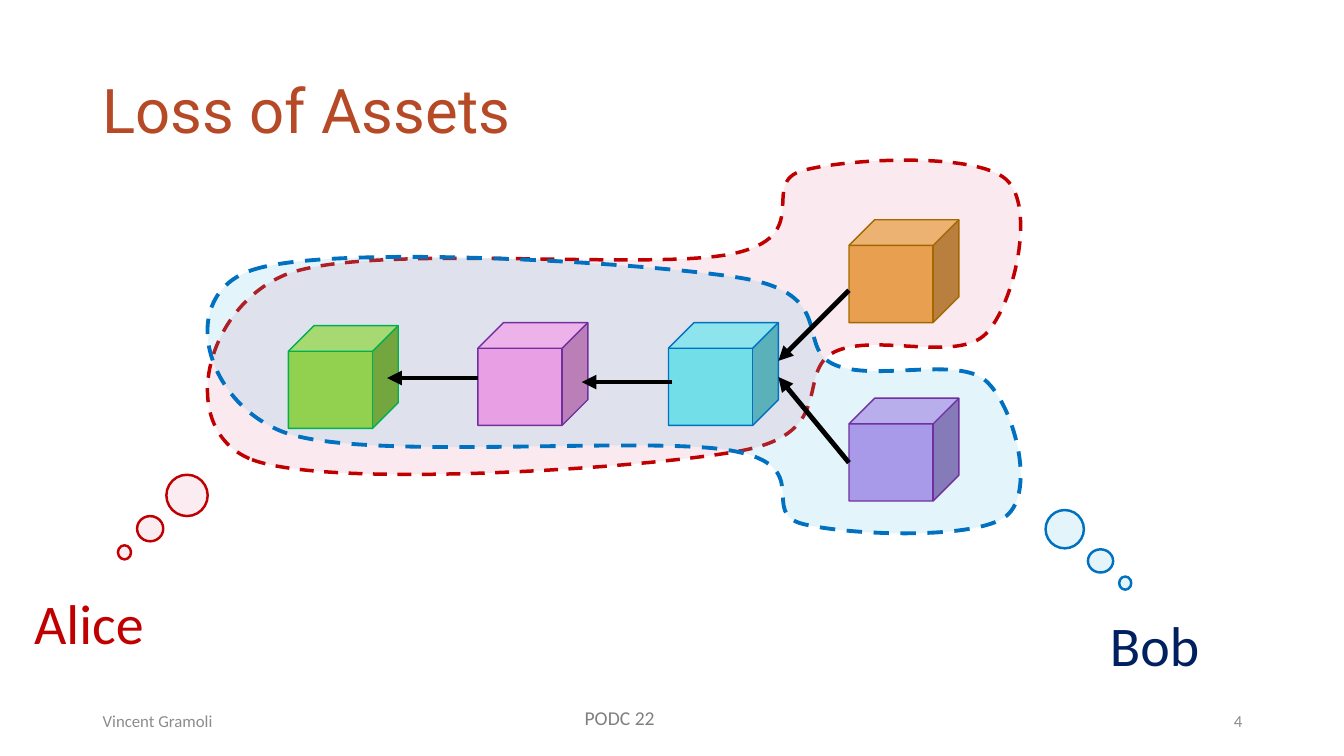
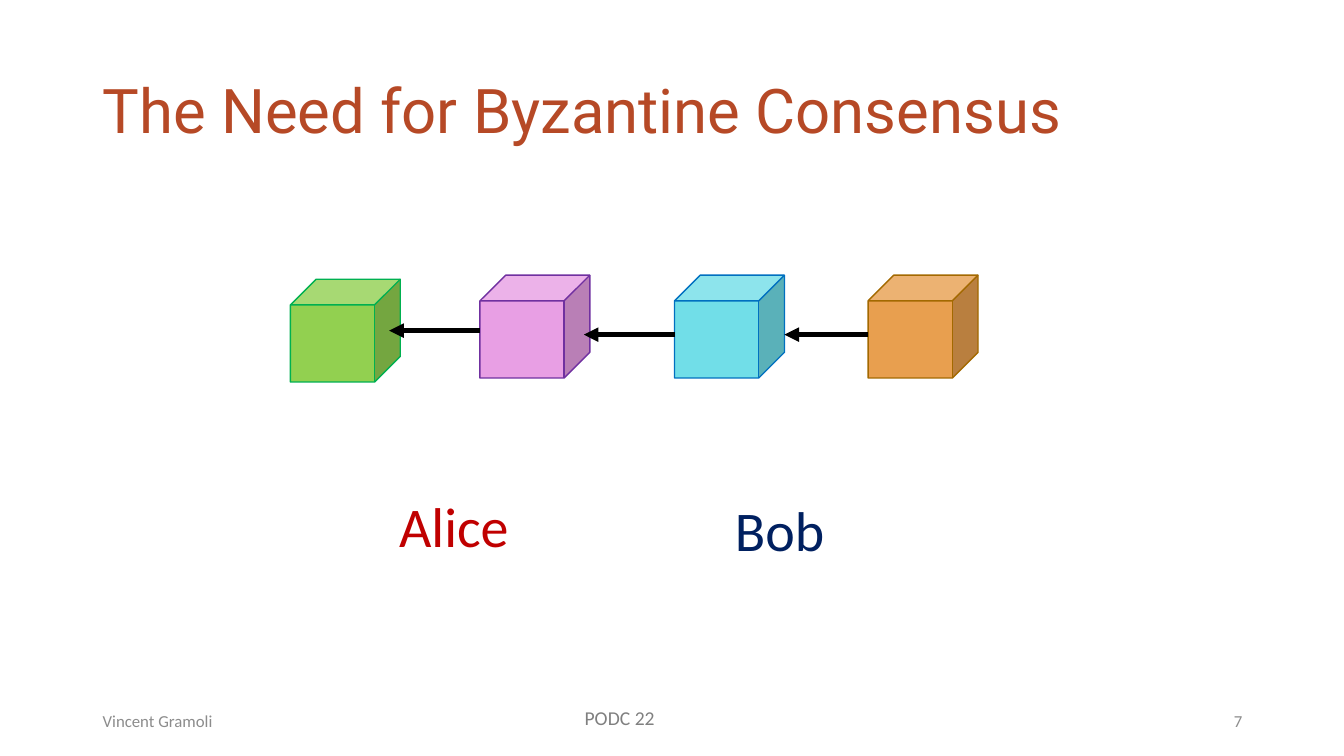
from lxml import etree
from pptx import Presentation
from pptx.dml.color import RGBColor
from pptx.enum.dml import MSO_LINE
from pptx.enum.shapes import MSO_CONNECTOR, MSO_SHAPE
from pptx.enum.text import MSO_ANCHOR, MSO_AUTO_SIZE, PP_ALIGN
from pptx.oxml.ns import qn
from pptx.util import Inches, Pt

CUBE, OVAL = MSO_SHAPE.CUBE, MSO_SHAPE.OVAL
STRAIGHT, DASH = MSO_CONNECTOR.STRAIGHT, MSO_LINE.DASH
LEFT, RIGHT = PP_ALIGN.LEFT, PP_ALIGN.RIGHT
TOP, MIDDLE = MSO_ANCHOR.TOP, MSO_ANCHOR.MIDDLE
FIT = MSO_AUTO_SIZE.SHAPE_TO_FIT_TEXT

RUST = RGBColor(0xB6, 0x49, 0x26)
GRAY = RGBColor(0x8C, 0x8C, 0x8C)
MID_GRAY = RGBColor(0x80, 0x80, 0x80)
BLACK = RGBColor(0, 0, 0)
RED = RGBColor(0xC0, 0, 0)
ROSE = RGBColor(0xE4, 0x72, 0x93)
BLUE = RGBColor(0, 0x70, 0xC0)
SKY = RGBColor(0x5E, 0xC3, 0xE3)
NAVY = RGBColor(0, 0x20, 0x60)
PURPLE = RGBColor(0x70, 0x30, 0xA0)

# Block name: fill, outline
BLOCKS = {
    "green": (RGBColor(0x92, 0xD0, 0x50), RGBColor(0, 0xB0, 0x50)),
    "pink": (RGBColor(0xE8, 0x9F, 0xE4), PURPLE),
    "cyan": (RGBColor(0x71, 0xDE, 0xE8), BLUE),
    "orange": (RGBColor(0xE8, 0x9F, 0x4F), RGBColor(0xA3, 0x69, 0)),
    "violet": (RGBColor(0xA8, 0x9A, 0xE8), PURPLE),
}
BLOCK_W, BLOCK_H = 1.09, 1.02
# Person: colour, label width
PEOPLE = {"Alice": (RED, 1.3), "Bob": (NAVY, 1.1)}

# Each view: fill, opacity %, outline, line width, box, start, Bezier curves
VIEWS = [
    (ROSE, 15, RED, 2.5, (2.06, 1.59, 8.07, 3.11), (2.5, 4.56), [
        ((3.26, 4.85), (6.4, 4.65), (7.36, 4.47)),
        ((8.32, 4.29), (7.88, 3.69), (8.28, 3.49)),
        ((8.68, 3.3), (9.5, 3.6), (9.78, 3.31)),
        ((10.06, 3.02), (10.28, 2.05), (9.98, 1.78)),
        ((9.68, 1.51), (8.42, 1.57), (7.97, 1.69)),
        ((7.51, 1.81), (8.11, 2.35), (7.25, 2.52)),
        ((6.4, 2.69), (3.62, 2.4), (2.82, 2.73)),
        ((2.02, 3.07), (1.75, 4.27), (2.5, 4.56))]),
    (SKY, 17, BLUE, 2.75, (2.06, 2.55, 8.07, 2.74), (2.5, 2.68), [
        ((3.26, 2.42), (6.4, 2.6), (7.36, 2.76)),
        ((8.32, 2.92), (7.88, 3.45), (8.28, 3.62)),
        ((8.68, 3.79), (9.5, 3.53), (9.78, 3.78)),
        ((10.06, 4.03), (10.28, 4.88), (9.98, 5.12)),
        ((9.68, 5.36), (8.42, 5.31), (7.97, 5.2)),
        ((7.51, 5.09), (8.11, 4.62), (7.25, 4.47)),
        ((6.4, 4.32), (3.62, 4.58), (2.82, 4.29)),
        ((2.02, 3.99), (1.75, 2.93), (2.5, 2.68))]),
]
# Thought bubbles: fill, opacity %, outline, ovals
BUBBLES = [
    (ROSE, 13, RED, [(1.65, 4.71, 0.41, 0.41), (1.36, 5.12, 0.26, 0.25),
                     (1.17, 5.41, 0.13, 0.14)]),
    (SKY, 17, BLUE, [(10.37, 5.06, 0.38, 0.38), (10.79, 5.45, 0.25, 0.23),
                     (11.1, 5.72, 0.12, 0.13)]),
]
SLIDES = [
    {"title": "Loss of Assets", "number": "4",
     "views": VIEWS, "bubbles": BUBBLES,
     "blocks": [("green", 2.86, 3.23), ("pink", 4.74, 3.2),
                ("cyan", 6.63, 3.2), ("orange", 8.42, 2.18),
                ("violet", 8.42, 3.95)],
     "arrows": [(4.74, 3.75, 3.84, 3.75), (6.67, 3.79, 5.77, 3.79),
                (8.42, 2.88, 7.72, 3.58), (8.42, 4.59, 7.72, 3.74)],
     "people": [("Alice", 0.24, 5.79), ("Bob", 10.91, 6.01)]},
    {"title": "The Need for Byzantine Consensus", "number": "7",
     "views": [], "bubbles": [],
     "blocks": [("green", 2.88, 2.77), ("pink", 4.76, 2.73),
                ("cyan", 6.69, 2.73), ("orange", 8.61, 2.73)],
     "arrows": [(4.76, 3.28, 3.86, 3.28), (6.69, 3.32, 5.79, 3.32),
                (8.61, 3.32, 7.78, 3.32)],
     "people": [("Alice", 3.86, 4.83), ("Bob", 7.19, 4.87)]},
]


def add_text(slide, text, box, size, color, font="Calibri", align=LEFT,
             anchor=MIDDLE, fit=False, spacing=None):
    s = slide.shapes.add_textbox(*map(Inches, box))
    tf = s.text_frame
    tf.word_wrap = not fit
    if fit:
        tf.auto_size = FIT
    tf.vertical_anchor = anchor
    p = tf.paragraphs[0]
    p.text = text
    p.alignment = align
    p.line_spacing = spacing
    f = p.runs[0].font
    f.name, f.size, f.color.rgb = font, Pt(size), color


def paint(s, fill, outline, width, opacity=100):
    s.shadow.inherit = False
    s.fill.solid()
    s.fill.fore_color.rgb = fill
    if opacity < 100:
        color = s._element.spPr.find(qn("a:solidFill"))[0]
        etree.SubElement(color, qn("a:alpha"), val=str(opacity * 1000))
    s.line.color.rgb = outline
    s.line.width = Pt(width)


def add_view(slide, fill, opacity, outline, width, box, start, curves):
    builder = slide.shapes.build_freeform(*map(Inches, start))
    builder.add_line_segments(
        [tuple(map(Inches, curve[-1])) for curve in curves], close=True)
    s = builder.convert_to_shape()
    s.left, s.top, s.width, s.height = map(Inches, box)

    # Turn the straight segments into Bezier curves within the box
    geometry = s._element.spPr.find(".//" + qn("a:path"))
    geometry.set("w", str(s.width))
    geometry.set("h", str(s.height))
    for child in list(geometry):
        geometry.remove(child)
    steps = [("a:moveTo", [start])] + [("a:cubicBezTo", c) for c in curves]
    for tag, points in steps:
        step = etree.SubElement(geometry, qn(tag))
        for x, y in points:
            etree.SubElement(step, qn("a:pt"), x=str(Inches(x) - s.left),
                             y=str(Inches(y) - s.top))
    etree.SubElement(geometry, qn("a:close"))

    paint(s, fill, outline, width, opacity)
    s.line.dash_style = DASH


def add_arrow(slide, ends):
    s = slide.shapes.add_connector(STRAIGHT, *map(Inches, ends))
    s.line.color.rgb = BLACK
    s.line.width = Pt(3.5)
    sp_pr = s._element.spPr
    etree.SubElement(sp_pr.find(qn("a:ln")), qn("a:tailEnd"), type="triangle")
    etree.SubElement(sp_pr, qn("a:effectLst"))


def add_frame(slide, title, number):
    """Title and footer shared by all slides."""
    add_text(slide, title, (0.92, 0.4, 11.5, 1.45), 44, RUST, "Roboto",
             spacing=0.9)
    add_text(slide, "Vincent Gramoli", (0.92, 6.95, 3, 0.4), 12, GRAY)
    add_text(slide, number, (9.42, 6.95, 3, 0.4), 12, GRAY, align=RIGHT)
    add_text(slide, "PODC 22", (5.7, 6.95, 0.95, 0.34), 14, MID_GRAY,
             anchor=TOP, fit=True)


def main():
    prs = Presentation()
    prs.slide_width, prs.slide_height = Inches(13.33), Inches(7.5)
    for content in SLIDES:
        slide = prs.slides.add_slide(prs.slide_layouts[6])
        # Each person's view of the chain
        for view in content["views"]:
            add_view(slide, *view)
        add_frame(slide, content["title"], content["number"])
        # Blocks
        for name, x, y in content["blocks"]:
            box = (x, y, BLOCK_W, BLOCK_H)
            s = slide.shapes.add_shape(CUBE, *map(Inches, box))
            paint(s, *BLOCKS[name], 1)
        # Thought bubbles
        for fill, opacity, outline, ovals in content["bubbles"]:
            for box in ovals:
                s = slide.shapes.add_shape(OVAL, *map(Inches, box))
                paint(s, fill, outline, 1.75, opacity)
        # Links between blocks
        for ends in content["arrows"]:
            add_arrow(slide, ends)
        # People
        for name, x, y in content["people"]:
            color, width = PEOPLE[name]
            add_text(slide, name, (x, y, width, 0.77), 40, color,
                     anchor=TOP, fit=True)
    prs.save("out.pptx")


if __name__ == "__main__":
    main()
